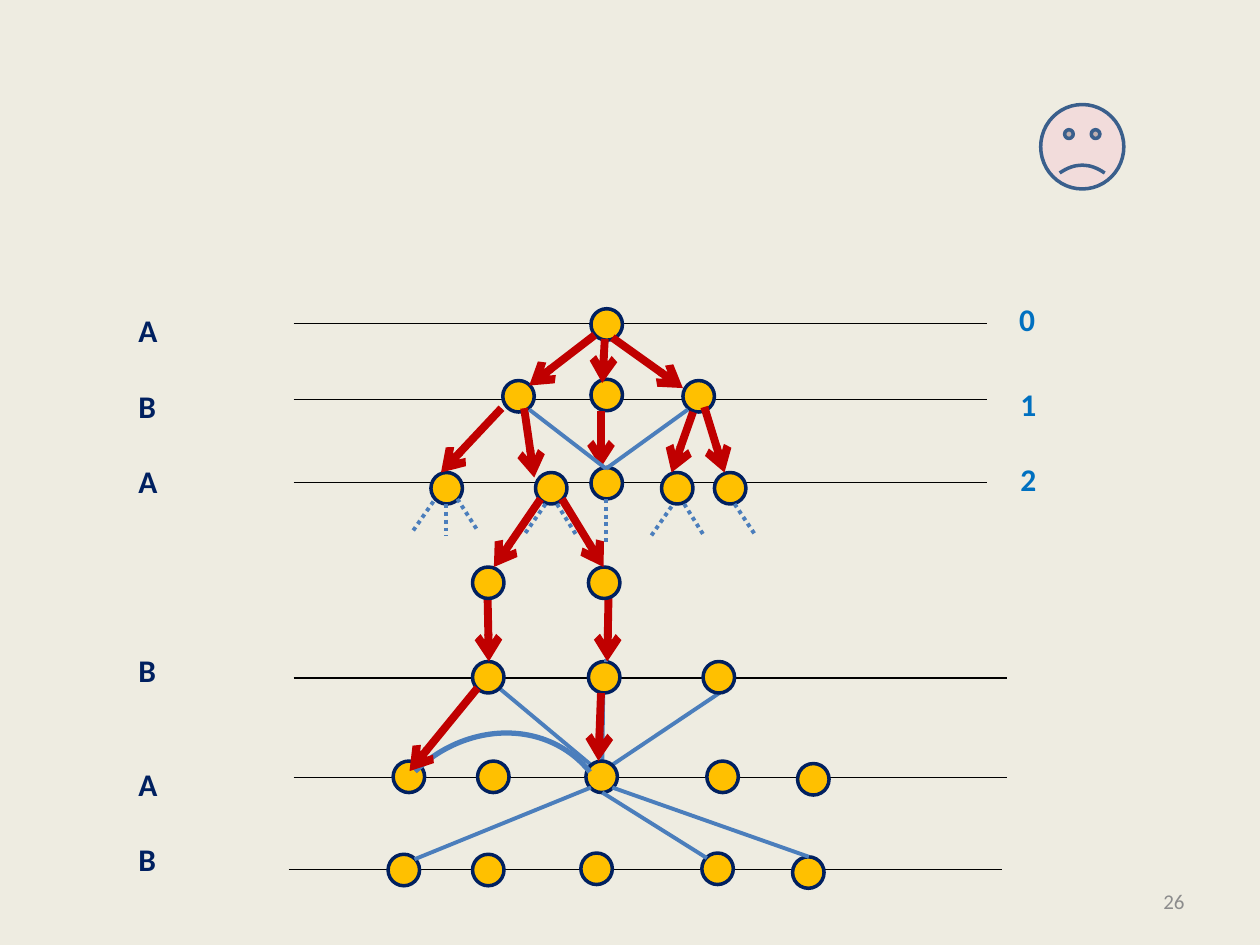
from dataclasses import dataclass

from lxml import etree
from pptx import Presentation
from pptx.dml.color import RGBColor
from pptx.enum.dml import MSO_LINE
from pptx.enum.shapes import MSO_CONNECTOR, MSO_SHAPE
from pptx.enum.text import MSO_ANCHOR, PP_ALIGN
from pptx.oxml.ns import qn
from pptx.util import Inches, Pt

STRAIGHT = MSO_CONNECTOR.STRAIGHT
DOTTED = MSO_LINE.ROUND_DOT
ELLIPSE = MSO_SHAPE.OVAL
ARC = MSO_SHAPE.ARC
FACE = MSO_SHAPE.SMILEY_FACE
LEFT, RIGHT = PP_ALIGN.LEFT, PP_ALIGN.RIGHT
TOP, MIDDLE = MSO_ANCHOR.TOP, MSO_ANCHOR.MIDDLE


@dataclass(frozen=True)
class Theme:
    font: str = "Calibri"
    background: str = "EEECE1"
    level: str = "000000"
    node: str = "FFC000"
    player: str = "002060"
    depth: str = "0070C0"
    edge: str = "4B7EBC"
    path_taken: str = "C00000"
    face: str = "F2DCDB"
    face_line: str = "3A5F8C"
    muted: str = "8C8C8C"
    label_size: float = 18
    number_size: float = 12
    level_width: float = 0.75
    outline_width: float = 2
    edge_width: float = 2.25
    arc_width: float = 3
    arrow_width: float = 4.5


NODE_SIZE = 0.25
LABEL_LINE = 21.6

# left, right, height of each horizontal level
LEVELS = [
    (2.33, 7.83, 2.57), (2.33, 7.83, 3.17), (2.33, 7.83, 3.83),
    (2.33, 7.99, 5.38), (2.33, 7.99, 6.17), (2.29, 7.95, 6.9),
]
DEPTHS = [("0", 7.99, 2.33), ("1", 8, 3.01), ("2", 8, 3.6)]

# player and the number of empty lines above it
PLAYERS = [("A", 0), ("B", 1), ("A", 1), ("B", 4), ("A", 2), ("B", 1)]

# left, top of each node
NODES = [
    (4.69, 2.45),
    (3.99, 3.02), (4.69, 3.01), (5.42, 3.02),
    (3.42, 3.75), (4.25, 3.75), (4.69, 3.71), (5.25, 3.75), (5.67, 3.75),
    (3.75, 5.25), (4.67, 5.25), (5.58, 5.25),
    (3.12, 6.04), (3.79, 6.04), (4.65, 6.04), (5.61, 6.04), (6.33, 6.06),
    (3.08, 6.78), (3.75, 6.78), (4.61, 6.77), (5.57, 6.77), (6.29, 6.8),
]
MIDDLE_NODES = [(3.75, 4.5), (4.67, 4.5)]

# each edge runs from x, y to x, y
EDGES_BEHIND_NODES = [
    (4.78, 6.08, 4.79, 5.3), (3.96, 5.46, 4.69, 6.07), (4.86, 6.07, 5.71, 5.5),
]
OMITTED_BRANCHES = [
    (4.81, 4.98, 4.81, 5.25), (4.81, 3.96, 4.81, 4.33),
    (3.44, 3.98, 3.28, 4.21), (3.54, 4, 3.54, 4.25), (3.63, 3.96, 3.79, 4.21),
    (4.33, 4, 4.17, 4.23), (4.42, 4, 4.57, 4.24),
    (5.33, 4.02, 5.17, 4.25), (5.43, 4, 5.58, 4.24), (5.83, 4, 5.99, 4.24),
]
LOWER_EDGES = [
    (4.78, 6.29, 5.61, 6.81), (6.42, 6.8, 4.86, 6.25), (4.69, 6.25, 3.29, 6.82),
]
UPPER_EDGES = [(4.2, 3.25, 4.81, 3.72), (5.46, 3.25, 4.81, 3.72)]
PATH_ARROWS = [
    (4.77, 5.5, 4.75, 6.04),
    (4.8, 2.69, 4.78, 3.04), (4.86, 2.68, 5.42, 3.08), (4.72, 2.66, 4.2, 3.06),
    (4.16, 3.24, 4.24, 3.79), (3.98, 3.24, 3.5, 3.75), (4.77, 3.26, 4.77, 3.71),
    (5.5, 3.27, 5.33, 3.75), (5.59, 3.23, 5.75, 3.75),
]
LOWER_ARROWS = [
    (3.79, 5.46, 3.25, 6.12), (4.83, 4.71, 4.82, 5.25), (3.87, 4.74, 3.88, 5.25),
]
MIDDLE_ARROWS = [(4.29, 3.96, 3.92, 4.5), (4.46, 3.96, 4.79, 4.5)]


def format_text(paragraph, text, theme, *, size, color, bold=False, align=LEFT):
    paragraph.alignment = align
    run = paragraph.add_run()
    run.text = text
    run.font.name = theme.font
    run.font.size = Pt(size)
    run.font.bold = bold
    run.font.color.rgb = RGBColor.from_string(color)


class TreeSlide:
    def __init__(self, slide, theme):
        self.slide = slide
        self.theme = theme
        fill = slide.background.fill
        fill.solid()
        fill.fore_color.rgb = RGBColor.from_string(theme.background)

    def lines(self, routes, color, width, dash=None, arrow=False):
        for x1, y1, x2, y2 in routes:
            connector = self.slide.shapes.add_connector(
                STRAIGHT, Inches(x1), Inches(y1), Inches(x2), Inches(y2))
            line = connector.line
            line.color.rgb = RGBColor.from_string(color)
            line.width = Pt(width)
            if dash is not None:
                line.dash_style = dash
            properties = connector._element.spPr
            if arrow:
                outline = properties.find(qn("a:ln"))
                etree.SubElement(outline, qn("a:tailEnd"), type="arrow")
            etree.SubElement(properties, qn("a:effectLst"))

    def shape(self, kind, box, line, width, fill=None, adjustments=(), rotation=0):
        shape = self.slide.shapes.add_shape(kind, *map(Inches, box))
        shape.shadow.inherit = False
        shape.rotation = rotation
        for index, value in enumerate(adjustments):
            shape.adjustments[index] = value
        if fill is None:
            shape.fill.background()
        else:
            shape.fill.solid()
            shape.fill.fore_color.rgb = RGBColor.from_string(fill)
        shape.line.color.rgb = RGBColor.from_string(line)
        shape.line.width = Pt(width)

    def nodes(self, places):
        theme = self.theme
        for left, top in places:
            self.shape(ELLIPSE, (left, top, NODE_SIZE, NODE_SIZE),
                       theme.player, theme.outline_width, theme.node)

    def text(self, box, entries, wrap=False, anchor=TOP, **style):
        """Add a text box; each entry is a text and the empty lines above it."""
        frame = self.slide.shapes.add_textbox(*map(Inches, box)).text_frame
        frame.word_wrap = wrap
        frame.vertical_anchor = anchor
        for index, (text, gap) in enumerate(entries):
            paragraph = frame.add_paragraph() if index else frame.paragraphs[0]
            if gap:
                paragraph.space_before = Pt(gap * LABEL_LINE)
            format_text(paragraph, text, self.theme, **style)


def main():
    presentation = Presentation()
    presentation.slide_width = Inches(10)
    presentation.slide_height = Inches(7.5)
    theme = Theme()
    tree = TreeSlide(presentation.slides.add_slide(presentation.slide_layouts[6]), theme)

    edge = (theme.edge, theme.edge_width)
    arrow = (theme.path_taken, theme.arrow_width)
    label = {"size": theme.label_size, "bold": True}

    tree.lines(EDGES_BEHIND_NODES, *edge)
    tree.lines([(left, y, right, y) for left, right, y in LEVELS],
               theme.level, theme.level_width)
    for depth, left, top in DEPTHS:
        tree.text((left, top, 0.33, 0.4), [(depth, 0)], color=theme.depth, **label)
    tree.text((7.17, 6.95, 2.33, 0.4), [("26", 0)], wrap=True, anchor=MIDDLE,
              size=theme.number_size, color=theme.muted, align=RIGHT)
    tree.nodes(NODES)
    tree.lines(OMITTED_BRANCHES, *edge, dash=DOTTED)
    tree.lines(LOWER_EDGES, *edge)
    tree.shape(ARC, (2.92, 5.87, 1.99, 1.78), theme.edge, theme.arc_width,
               adjustments=(162, 2.78), rotation=315.8)
    tree.lines(PATH_ARROWS, *arrow, arrow=True)
    tree.lines(UPPER_EDGES, *edge)
    tree.text((1, 2.42, 0.35, 4.64), PLAYERS, color=theme.player, **label)
    tree.lines(LOWER_ARROWS, *arrow, arrow=True)
    tree.shape(FACE, (8.26, 0.83, 0.66, 0.67), theme.face_line,
               theme.outline_width, theme.face, adjustments=(-0.05,))
    tree.nodes(MIDDLE_NODES)
    tree.lines(MIDDLE_ARROWS, *arrow, arrow=True)

    presentation.save("out.pptx")


if __name__ == "__main__":
    main()
